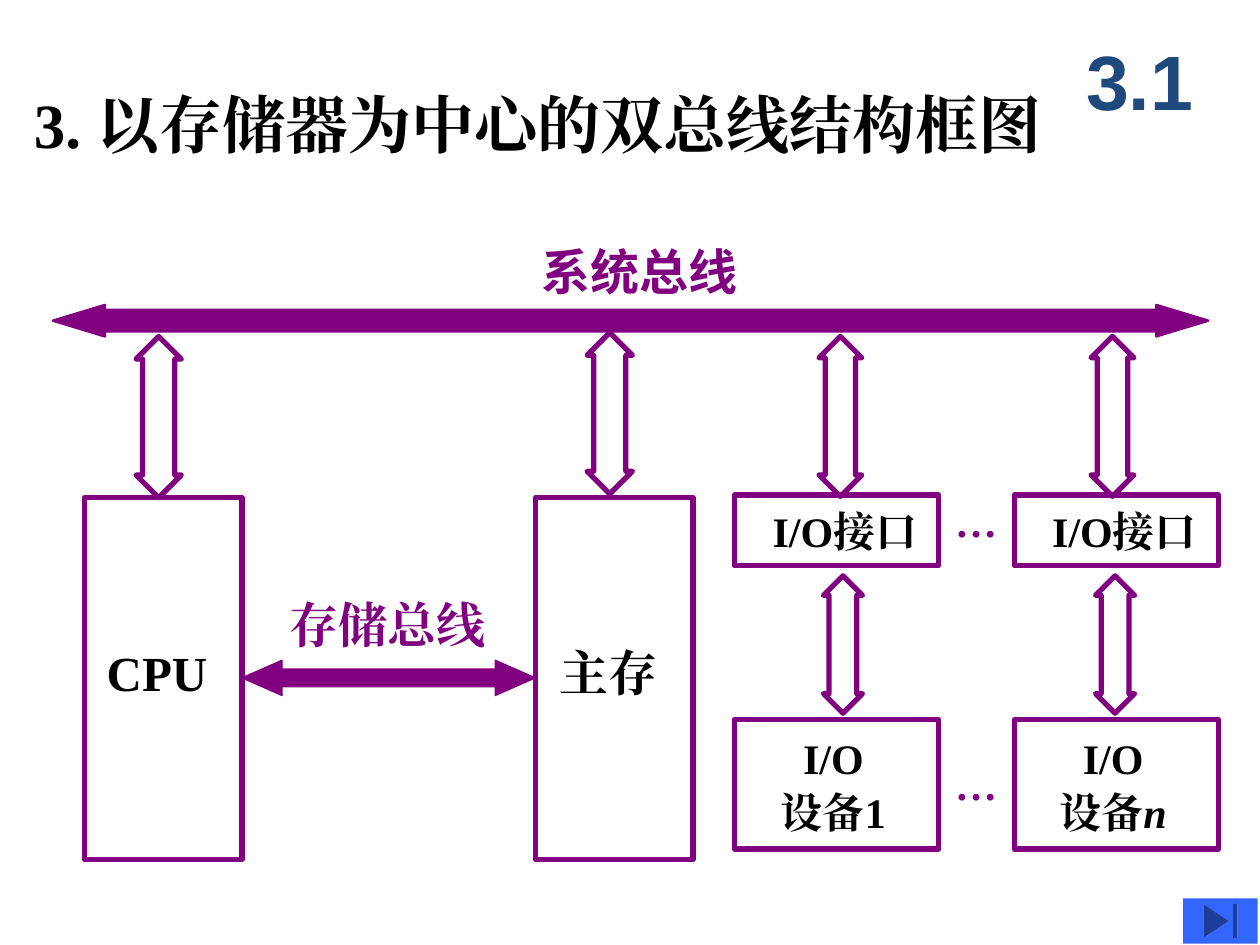
from lxml import etree
from pptx import Presentation
from pptx.dml.color import RGBColor
from pptx.enum.shapes import MSO_SHAPE
from pptx.enum.text import MSO_ANCHOR, PP_ALIGN
from pptx.oxml.ns import qn
from pptx.util import Inches, Pt

RECTANGLE = MSO_SHAPE.RECTANGLE
VERTICAL = MSO_SHAPE.UP_DOWN_ARROW
HORIZONTAL = MSO_SHAPE.LEFT_RIGHT_ARROW
END_BUTTON = MSO_SHAPE.ACTION_BUTTON_END
CENTER, LEFT = PP_ALIGN.CENTER, PP_ALIGN.LEFT
MIDDLE, TOP = MSO_ANCHOR.MIDDLE, MSO_ANCHOR.TOP

PURPLE = RGBColor(0x80, 0x00, 0x80)
BLACK = RGBColor(0x00, 0x00, 0x00)
NAVY = RGBColor(0x1F, 0x49, 0x7D)
BLUE = RGBColor(0x33, 0x66, 0xFF)
SERIF, SANS, CHINESE = "Times New Roman", "Arial", "Noto Sans CJK SC"
DEFAULT_INSETS = (0.1, 0.05, 0.1, 0.05)
NO_INSETS = (0, 0, 0, 0)


def write(frame, text, size=28, color=BLACK, font=SERIF, align=LEFT, anchor=TOP,
          insets=DEFAULT_INSETS, wrap=True, italic_end="", gap=0):
    """Fill a frame with bold lines; italic_end follows the last line."""
    frame.word_wrap = wrap
    frame.vertical_anchor = anchor
    (frame.margin_left, frame.margin_top,
     frame.margin_right, frame.margin_bottom) = map(Inches, insets)
    for index, line in enumerate(text.split("\n")):
        paragraph = frame.paragraphs[0] if index == 0 else frame.add_paragraph()
        paragraph.alignment = align
        if index:
            paragraph.space_before = Pt(gap)
        paragraph.add_run().text = line
    if italic_end:
        ending = paragraph.add_run()
        ending.text = italic_end
        ending.font.italic = True
    for paragraph in frame.paragraphs:
        for run in paragraph.runs:
            run.font.name, run.font.size, run.font.bold = font, Pt(size), True
            run.font.color.rgb = color
            east_asian = etree.SubElement(run.font._element, qn("a:ea"))
            east_asian.set("typeface", font)


class Diagram:
    def __init__(self, slide, color=PURPLE, outline=3):
        self.slide = slide
        self.color = color
        self.outline = outline

    def shape(self, kind, left, top, width, height, fill=None, outline=None):
        """Add a preset shape; an outline of None leaves the line out."""
        shape = self.slide.shapes.add_shape(
            kind, Inches(left), Inches(top), Inches(width), Inches(height))
        shape.shadow.inherit = False
        if fill is None:
            shape.fill.background()
        else:
            shape.fill.solid()
            shape.fill.fore_color.rgb = fill
        if outline is None:
            shape.line.fill.background()
        else:
            shape.line.color.rgb = self.color
            shape.line.width = Pt(outline)
        return shape

    def block(self, text, left, top, width, height, **style):
        block = self.shape(RECTANGLE, left, top, width, height, outline=self.outline)
        write(block.text_frame, text, align=CENTER, anchor=MIDDLE, **style)

    def link(self, center, top, width, height):
        """Add a hollow two-way arrow centred on a vertical axis."""
        link = self.shape(VERTICAL, center - width / 2, top, width, height,
                          outline=self.outline)
        link.adjustments[0] = 0.5
        link.adjustments[1] = 0.71

    def bus(self, left, top, width, height, shaft, head, outline):
        bus = self.shape(HORIZONTAL, left, top, width, height, self.color, outline)
        bus.adjustments[0] = shaft
        bus.adjustments[1] = head

    def label(self, text, left, top, width, height, **style):
        box = self.slide.shapes.add_textbox(
            Inches(left), Inches(top), Inches(width), Inches(height))
        write(box.text_frame, text, **style)


def main():
    deck = Presentation()
    deck.slide_width, deck.slide_height = Inches(10), Inches(7.5)
    diagram = Diagram(deck.slides.add_slide(deck.slide_layouts[6]))

    diagram.label("3. 以存储器为中心的双总线结构框图", 0.17, 0.63, 8.67, 0.7, size=36)
    diagram.label("3.1", 8.42, 0.17, 1.25, 0.92, size=44, color=NAVY, font=SANS,
                  align=CENTER, anchor=MIDDLE)

    diagram.label("系统总线", 4.3, 1.92, 2.53, 0.47, color=PURPLE, font=CHINESE,
                  insets=NO_INSETS)
    diagram.bus(0.42, 2.42, 9.17, 0.25, shaft=0.68, head=1.65, outline=1.38)

    for name, left, link_top in (("CPU", 0.67, 2.67), ("主存", 4.25, 2.64)):
        diagram.block(name, left, 3.95, 1.25, 2.87, insets=(0, 0.05, 0.1, 0.16))
        diagram.link(left + 0.59, link_top, 0.36, 1.28)

    diagram.bus(1.92, 5.24, 2.33, 0.28, shaft=0.5, head=1.14, outline=0.75)
    diagram.label("存储总线", 2.2, 4.67, 1.76, 0.57, color=PURPLE, wrap=False)

    for left, axis, number, variable in ((5.83, 6.67, "1", ""), (8.05, 8.83, "", "n")):
        diagram.block("I/O接口", left, 3.93, 1.62, 0.56, size=24,
                      insets=(0.13, 0.05, 0, 0.05))
        diagram.block("I/O\n设备" + number, left, 5.71, 1.62, 1.03, size=24,
                      insets=(0.1, 0.05, 0.15, 0.05), italic_end=variable, gap=2)
        diagram.link(axis, 2.67, 0.34, 1.27)
        diagram.link(axis + 0.02, 4.57, 0.31, 1.09)

    for top in (3.93, 6.02):
        diagram.label("…", 7.58, top, 0.33, 0.4, size=24, color=PURPLE,
                      insets=NO_INSETS, wrap=False)

    diagram.shape(END_BUTTON, 9.39, 7.13, 0.59, 0.36, fill=BLUE)
    deck.save("out.pptx")


if __name__ == "__main__":
    main()
